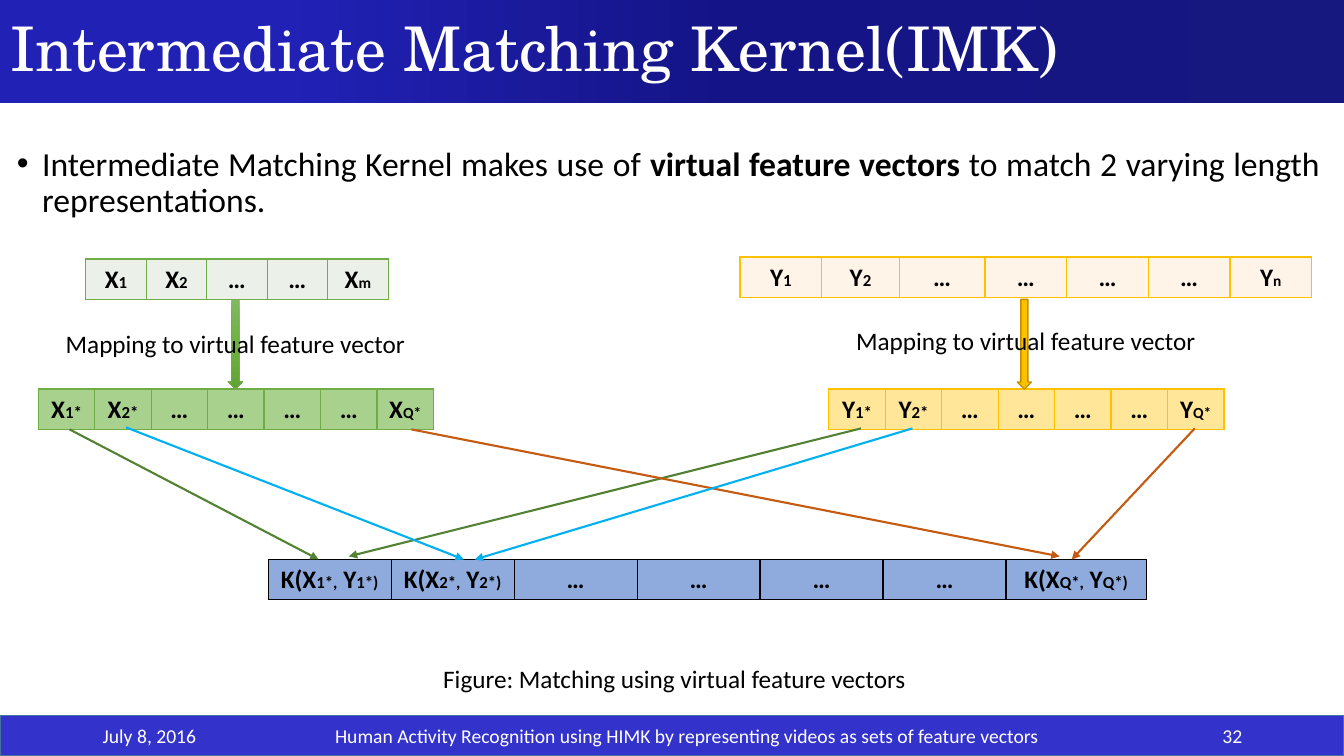
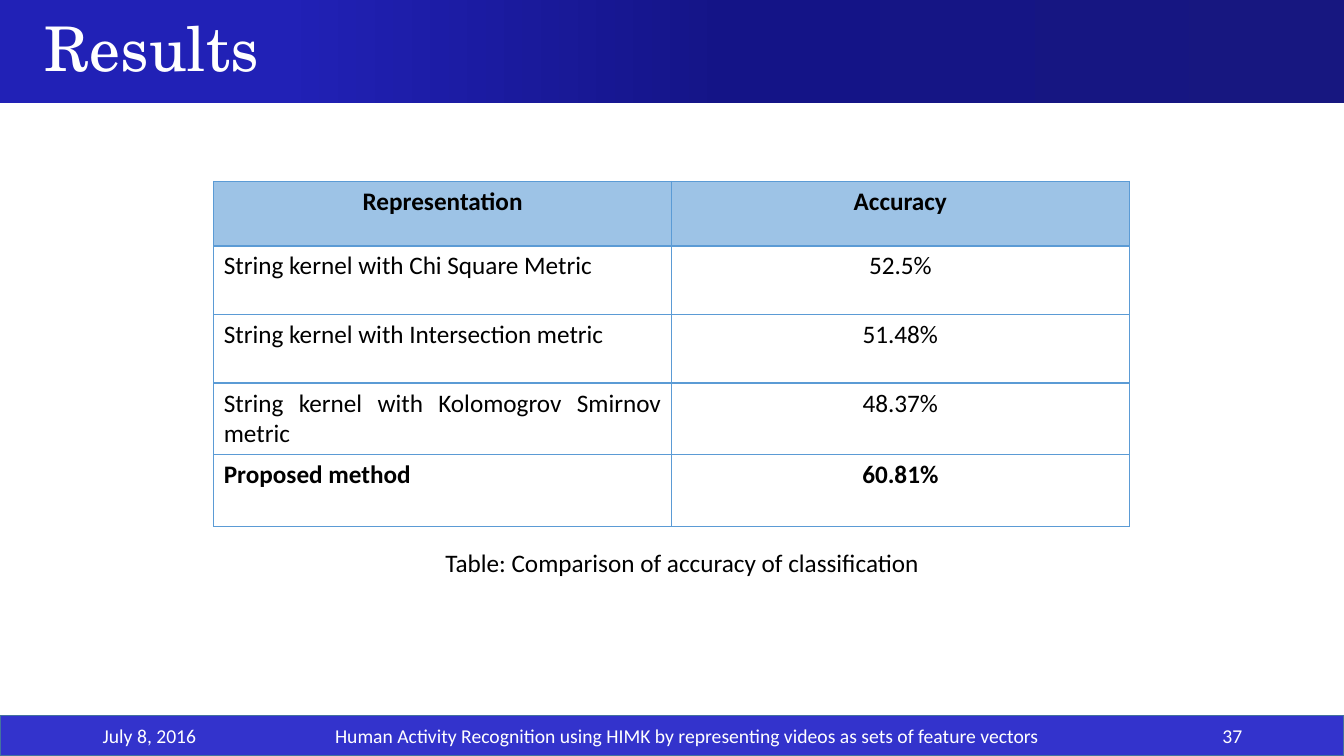
from lxml.etree import SubElement
from pptx import Presentation
from pptx.dml.color import RGBColor
from pptx.enum.shapes import MSO_CONNECTOR as Connector, MSO_SHAPE as Shape
from pptx.enum.text import MSO_ANCHOR as Anchor, MSO_AUTO_SIZE as AutoSize, PP_ALIGN as Align
from pptx.oxml.ns import qn
from pptx.util import Inches, Pt

WIDTH, HEIGHT = 13.33, 7.5
FOOTER_TOP, FOOTER_HEIGHT = 7.1, 0.4
BLACK, WHITE = "000000", "FFFFFF"
GREEN, GOLD, BLUE = "70AD47", "FFC000", "5B9BD5"
BAND_STOPS = [(0, "171780"), (46, "141487"), (79, "2121B6")]
ARROW_STOPS = [(0, "81B861"), (50, "6FB242"), (100, "62A336")]
SUBSCRIPT_SIZES = {"m": 11, "n": 11, "Q*": 11}
DATE = "July 8, 2016"
TALK = "Human Activity Recognition using HIMK by representing videos as sets of feature vectors"


def rgb(value):
    return RGBColor.from_string(value)


def set_format(target, values):
    for name, value in values.items():
        setattr(target, name, value)


class SlideMaker:
    """Holds the deck style and the slide being filled."""

    def __init__(self):
        self.deck = Presentation()
        self.deck.slide_width = Inches(WIDTH)
        self.deck.slide_height = Inches(HEIGHT)
        self.slide = None

    # Shared frame: title band and footer
    def new_slide(self, title, number, indent=0.1):
        self.slide = self.deck.slides.add_slide(self.deck.slide_layouts[5])
        band = self.slide.shapes.title
        set_format(band, {"left": 0, "top": 0, "width": Inches(WIDTH), "height": Inches(1.02)})
        self.gradient(band, BAND_STOPS, 180)
        set_format(band.text_frame, {
            "auto_size": AutoSize.NONE, "word_wrap": True,
            "vertical_anchor": Anchor.MIDDLE, "margin_left": Inches(indent)})
        para = band.text_frame.paragraphs[0]
        set_format(para, {"alignment": Align.LEFT, "line_spacing": 0.9})
        self.span(para, title, 44, color=WHITE, font="TeX Gyre Schola")

        self.shape(Shape.RECTANGLE, 0, FOOTER_TOP, WIDTH, FOOTER_HEIGHT, "3333CC", "43739E", 1)
        for text, left, width, align in [
            (DATE, 0.92, 3, Align.LEFT),
            (TALK, 3.17, 7.29, Align.CENTER),
            (number, 9.42, 3, Align.RIGHT),
        ]:
            self.text(text, left, FOOTER_TOP, width, FOOTER_HEIGHT,
                      size=14, color=WHITE, align=align, anchor=Anchor.MIDDLE)

    def span(self, para, text, size, color=BLACK, bold=False, font="Calibri"):
        span = para.add_run()
        span.text = text
        set_format(span.font, {"name": font, "size": Pt(size), "bold": bold})
        span.font.color.rgb = rgb(color)

    def gradient(self, shape, stops, angle):
        shape.fill.gradient()
        shape.fill.gradient_angle = (360 - angle) % 360
        stop_list = shape._element.spPr.find(qn("a:gradFill")).find(qn("a:gsLst"))
        for old_stop in list(stop_list):
            stop_list.remove(old_stop)
        for position, color in stops:
            stop = SubElement(stop_list, qn("a:gs"), pos=str(position * 1000))
            SubElement(stop, qn("a:srgbClr"), val=color)

    def shape(self, kind, left, top, width, height, fill, line, weight):
        shape = self.slide.shapes.add_shape(
            kind, Inches(left), Inches(top), Inches(width), Inches(height))
        shape.shadow.inherit = False
        if isinstance(fill, str):
            shape.fill.solid()
            shape.fill.fore_color.rgb = rgb(fill)
        else:
            self.gradient(shape, fill, 90)
        shape.line.color.rgb = rgb(line)
        shape.line.width = Pt(weight)

    def text_frame(self, left, top, width, height, anchor=Anchor.TOP):
        box = self.slide.shapes.add_textbox(
            Inches(left), Inches(top), Inches(width), Inches(height))
        set_format(box.text_frame, {"word_wrap": True, "vertical_anchor": anchor})
        return box.text_frame

    def text(self, text, left, top, width, height=0.4, size=18, color=BLACK,
             align=Align.CENTER, anchor=Anchor.TOP):
        para = self.text_frame(left, top, width, height, anchor).paragraphs[0]
        para.alignment = align
        self.span(para, text, size, color)

    def bullet(self, spans, left, top, width, height):
        para = self.text_frame(left, top, width, height).paragraphs[0]
        properties = para._p.get_or_add_pPr()
        properties.set("marL", str(Inches(0.25)))
        properties.set("indent", str(-Inches(0.25)))
        SubElement(properties, qn("a:buFont"), typeface="Arial")
        SubElement(properties, qn("a:buChar"), char="•")
        set_format(para, {"alignment": Align.JUSTIFY, "line_spacing": 0.9})
        for text, bold in spans:
            self.span(para, text, 24, bold=bold)

    def arrow(self, start, end, color):
        line = self.slide.shapes.add_connector(
            Connector.STRAIGHT, *(Inches(value) for value in (*start, *end)))
        line.line.color.rgb = rgb(color)
        line.line.width = Pt(1.5)
        SubElement(line.line._get_or_add_ln(), qn("a:tailEnd"), type="triangle")
        SubElement(line._element.spPr, qn("a:effectLst"))

    # Tables
    def table(self, left, top, widths, heights):
        frame = self.slide.shapes.add_table(
            len(heights), len(widths), Inches(left), Inches(top),
            Inches(sum(widths)), Inches(sum(heights)))
        table = frame.table
        set_format(table, {"first_row": False, "horz_banding": False})
        for column, width in zip(table.columns, widths):
            column.width = Inches(width)
        for row, height in zip(table.rows, heights):
            row.height = Inches(height)
        return table

    def cell(self, cell, fill, border, align=Align.CENTER, **weights):
        properties = cell._tc.get_or_add_tcPr()
        for side in "LRTB":
            weight = Pt(weights.get(side, 1))
            line = SubElement(properties, qn(f"a:ln{side}"), w=str(weight))
            SubElement(SubElement(line, qn("a:solidFill")), qn("a:srgbClr"), val=border)
        cell.fill.solid()
        cell.fill.fore_color.rgb = rgb(fill)
        para = cell.text_frame.paragraphs[0]
        para.alignment = align
        return para

    def vector(self, left, top, widths, labels, fill, border):
        """One row of cells; bars in a label part normal and small text."""
        table = self.table(left, top, widths, [0.4])
        for cell, label in zip(table.rows[0].cells, labels):
            para = self.cell(cell, fill, border)
            for index, part in enumerate(label.split("|")):
                size = SUBSCRIPT_SIZES.get(part, 12) if index % 2 else 18
                self.span(para, part, size, bold=True)

    def results(self, left, top, widths, heights, rows):
        table = self.table(left, top, widths, heights)
        last = len(rows) - 1
        for index, (row, texts) in enumerate(zip(table.rows, rows)):
            header = index == 0
            weights = {0: {"B": 2}, 1: {"T": 2}}.get(index, {})
            for column, (cell, text) in enumerate(zip(row.cells, texts)):
                align = Align.CENTER if header or column else Align.JUSTIFY
                para = self.cell(cell, "9DC3E6" if header else WHITE, BLUE, align, **weights)
                self.span(para, text, 18, bold=index in (0, last))


def labels(pattern, last, count):
    """First two labels, dots between, and the last label."""
    ends = [pattern.replace("#", index) for index in ("1", "2", last)]
    return [*ends[:2], *["…"] * (count - 3), ends[2]]


def matching_slide(maker):
    maker.new_slide("Intermediate Matching Kernel(IMK)", "32")
    maker.bullet([
        ("Intermediate Matching Kernel makes use of ", False),
        ("virtual feature vectors", True),
        (" to match 2 varying length representations.", False),
    ], 0.07, 1.41, 13.12, 1)

    # Feature vectors, virtual vectors and kernel values
    y_widths = [0.81, 0.77, 0.85] + [0.81] * 4
    virtual_widths = [0.56] * 7
    kernel_widths = [1.22] * 6 + [1.39]
    for left, top, widths, pattern, last, fill, border in [
        (0.85, 2.57, [0.6] * 5, "X|#", "m", "EBF1E9", GREEN),
        (7.34, 2.55, y_widths, "Y|#", "n", "FFF4E7", GOLD),
        (2.66, 5.55, kernel_widths, "K(X|#*,| Y|#*)", "Q", "8FAADC", BLACK),
        (0.38, 3.86, virtual_widths, "X|#*", "Q", "A9D18E", GREEN),
        (8.22, 3.86, virtual_widths, "Y|#*", "Q", "FFE699", GOLD),
    ]:
        maker.vector(left, top, widths, labels(pattern, last, len(widths)), fill, border)

    # Mapping arrows
    maker.shape(Shape.DOWN_ARROW, 2.26, 2.97, 0.15, 0.89, ARROW_STOPS, GREEN, 0.5)
    maker.shape(Shape.DOWN_ARROW, 10.09, 2.97, 0.14, 0.89, GOLD, "BD8E00", 1)

    # Arrows from matched pairs to their kernel value
    for color, pairs in {
        "548235": [((0.69, 4.26), (3.16, 5.55)), ((8.54, 4.25), (3.46, 5.52))],
        "C55A11": [((4.08, 4.26), (10.51, 5.52)), ((11.85, 4.25), (10.63, 5.55))],
        "00B0F0": [((1.25, 4.24), (4.6, 5.55)), ((9.05, 4.25), (4.71, 5.55))],
    }.items():
        for start, end in pairs:
            maker.arrow(start, end, color)

    # Captions
    maker.text("Figure: Matching using virtual feature vectors", 1.53, 6.53, 10.32)
    for left, top in [(0.38, 3.21), (8.22, 3.18)]:
        maker.text("Mapping to virtual feature vector", left, top, 3.91)


def results_slide(maker):
    maker.new_slide("Results", "37", indent=0.44)
    maker.results(2.12, 1.8, [4.54, 4.54], [0.64, 0.68, 0.68, 0.71, 0.71], [
        ("Representation", "Accuracy"),
        ("String kernel with Chi Square Metric", "52.5%"),
        ("String kernel with Intersection metric", "51.48%"),
        ("String kernel with Kolomogrov Smirnov metric", "48.37%"),
        ("Proposed method", "60.81%"),
    ])
    maker.text("Table: Comparison of accuracy of classification", 0.7, 5.38, 12.13)


def main():
    maker = SlideMaker()
    matching_slide(maker)
    results_slide(maker)
    maker.deck.save("out.pptx")


if __name__ == "__main__":
    main()
